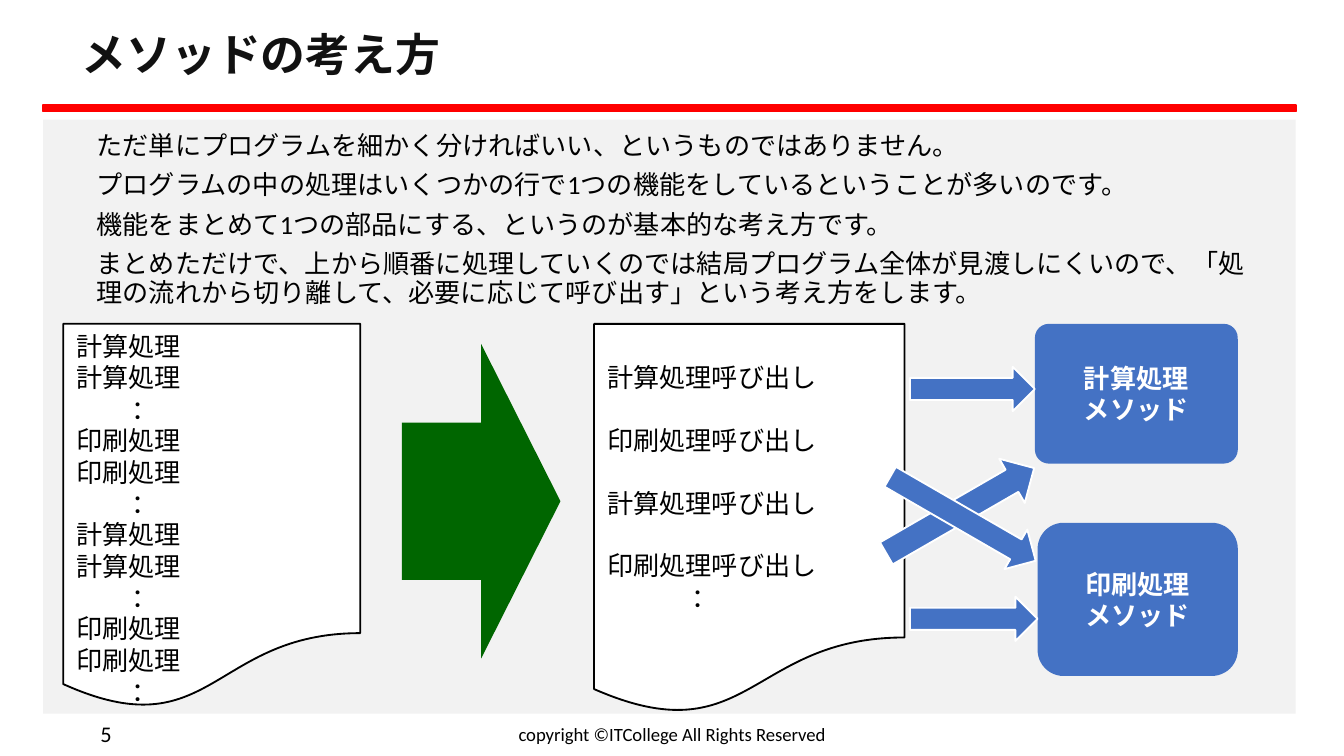
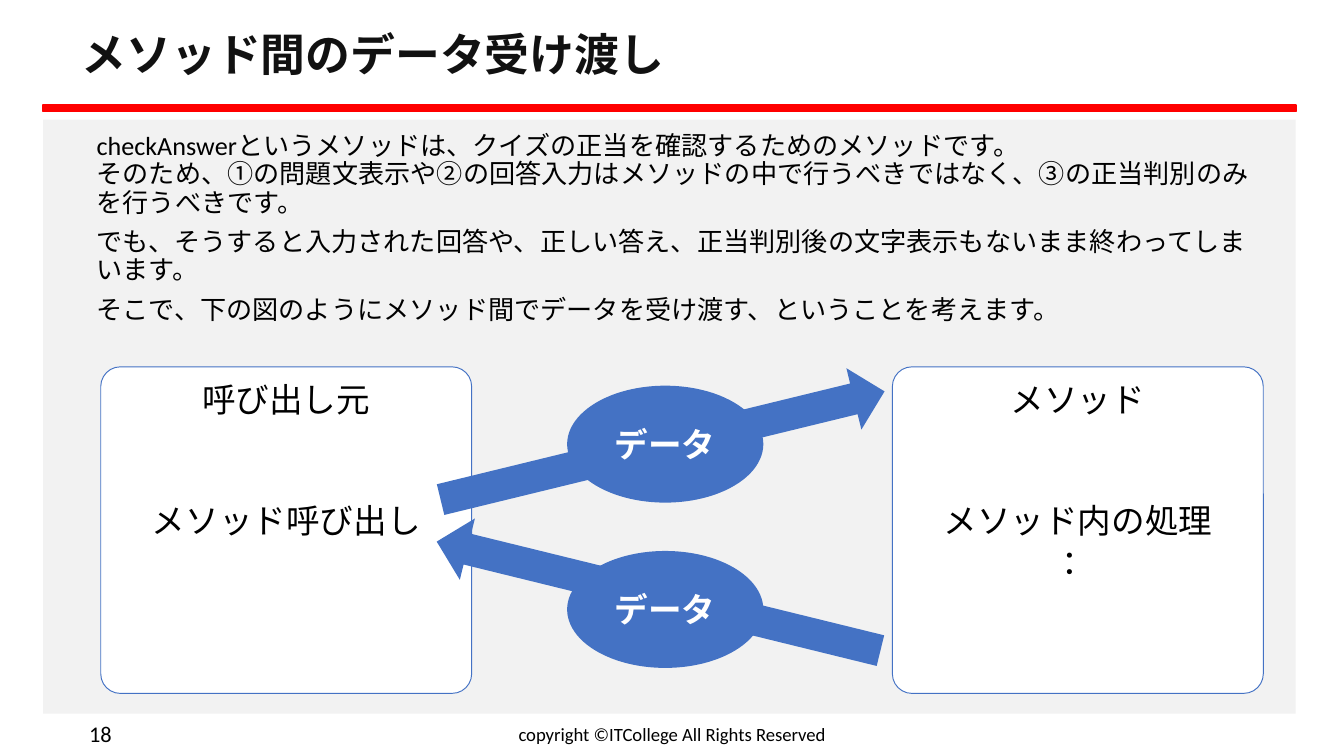
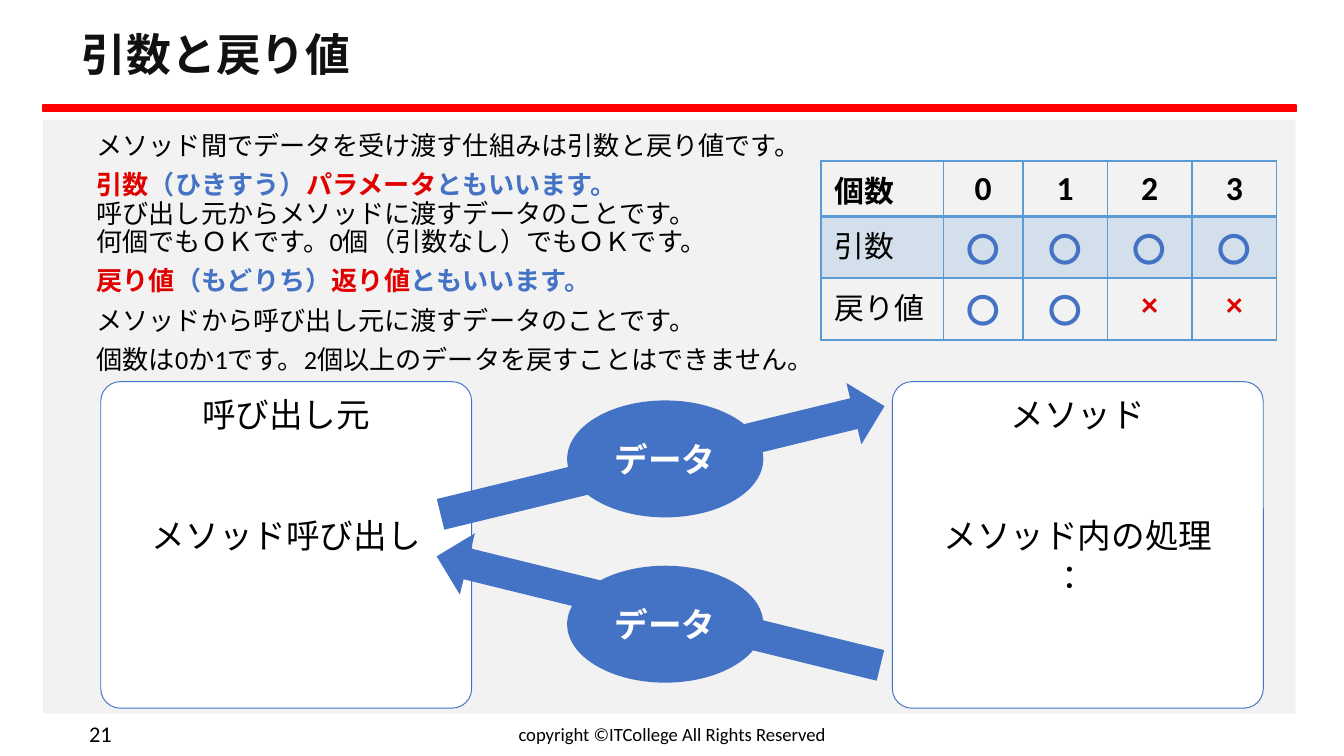
from dataclasses import dataclass

from lxml import etree
from pptx import Presentation
from pptx.dml.color import RGBColor
from pptx.enum.lang import MSO_LANGUAGE_ID
from pptx.enum.shapes import MSO_SHAPE
from pptx.enum.text import MSO_ANCHOR, PP_ALIGN
from pptx.oxml.ns import qn
from pptx.util import Inches, Pt

RECT, ROUND, OVAL = MSO_SHAPE.RECTANGLE, MSO_SHAPE.ROUNDED_RECTANGLE, MSO_SHAPE.OVAL
ARROW, DOCUMENT = MSO_SHAPE.RIGHT_ARROW, MSO_SHAPE.FLOWCHART_DOCUMENT
LEFT, CENTER, RIGHT = PP_ALIGN.LEFT, PP_ALIGN.CENTER, PP_ALIGN.RIGHT
TOP, MIDDLE = MSO_ANCHOR.TOP, MSO_ANCHOR.MIDDLE
JAPANESE = MSO_LANGUAGE_ID.JAPANESE


@dataclass(frozen=True)
class Theme:
    """Colours, fonts and type sizes shared by all slides."""
    black: str = "000000"
    white: str = "FFFFFF"
    title: str = "111111"
    panel: str = "F2F2F2"
    band: str = "FF0000"
    blue: str = "4472C4"
    grid: str = "5B9BD5"
    key: str = "E10000"
    green: str = "006600"
    font: str = "Calibri"
    cjk_font: str = "Noto Sans CJK JP"
    title_size: int = 24
    label_size: int = 18
    cell_size: int = 16
    body_size: int = 14
    number_size: int = 12
    footer_size: int = 10


T = Theme()
CALC, PRINT, DOTS = "計算処理", "印刷処理", "："


def rgb(value):
    """Turn a hex string into a colour."""
    return RGBColor.from_string(value)


def add_run(p, text, size, color=T.black, bold=False, font=T.font):
    """Append text to a paragraph, with a line break at each newline."""
    for i, line in enumerate(text.split("\n")):
        if i:
            p.add_line_break()
        if line:
            r = p.add_run()
            r.text = line
            r.font.name, r.font.size, r.font.bold = font, Pt(size), bold
            r.font.color.rgb = rgb(color)
            r.font.language_id = JAPANESE


def add_paragraph(tf, align=LEFT, before=0, indent=0):
    """Return the next paragraph of a frame; the first has no space before."""
    first = not tf.paragraphs[0].runs
    p = tf.paragraphs[0] if first else tf.add_paragraph()
    p.alignment = align
    if before and not first:
        p.space_before = Pt(before)
    if indent:
        pPr = p._p.get_or_add_pPr()
        pPr.set("marL", str(Inches(indent)))
        pPr.set("indent", "0")
    return p


def add_text(s, box, anchor=TOP):
    """Add a wrapping text box and return its frame."""
    tf = s.shapes.add_textbox(*map(Inches, box)).text_frame
    tf.word_wrap, tf.vertical_anchor = True, anchor
    return tf


def add_shape(s, kind, box, fill, line=None, width=1, turn=0, adj=None, anchor=MIDDLE):
    """Add a flat preset shape."""
    sp = s.shapes.add_shape(kind, *map(Inches, box))
    sp.shadow.inherit = False
    sp.fill.solid()
    sp.fill.fore_color.rgb = rgb(fill)
    if line:
        sp.line.color.rgb, sp.line.width = rgb(line), Pt(width)
    else:
        sp.line.fill.background()
    sp.rotation = turn
    if adj is not None:
        sp.adjustments[0] = adj
    sp.text_frame.vertical_anchor = anchor
    return sp


def add_frame(prs, title, number):
    """Start a slide with its panel, band, title and footer."""
    s = prs.slides.add_slide(prs.slide_layouts[6])
    add_shape(s, RECT, (0.32, 0.89, 9.32, 4.42), T.panel)
    add_shape(s, RECT, (0.32, 0.78, 9.32, 0.05), T.band, T.band)
    texts = (
        ((3.31, 5.32, 3.38, 0.28), CENTER, "copyright ©ITCollege All Rights Reserved", T.footer_size),
        ((0.24, 5.32, 0.69, 0.28), RIGHT, str(number), T.number_size),
    )
    for box, align, text, size in texts:
        add_run(add_paragraph(add_text(s, box, MIDDLE), align), text, size)
    p = add_paragraph(add_text(s, (0.51, 0.13, 8.99, 0.59), MIDDLE))
    p.line_spacing = 0.9
    add_run(p, title, T.title_size, T.title, True)
    return s


def add_body(s, width, height, paragraphs):
    """Write the explanation, each paragraph a list of (text, colour, bold)."""
    tf = add_text(s, (0.51, 0.94, width, height))
    for runs in paragraphs:
        p = add_paragraph(tf, before=6, indent=0.11)
        p.line_spacing = 0.9
        for text, color, bold in runs:
            add_run(p, text, T.body_size, color, bold)


def plain(*texts):
    """Make one plain body paragraph of each text."""
    return [[(text, T.black, False)] for text in texts]


def add_document(s, box, lines, dots_indent, gap=0, top=0.05):
    """Draw a program listing as a document shape."""
    tf = add_shape(s, DOCUMENT, box, T.white, T.black, anchor=TOP).text_frame
    tf.margin_top = Inches(top)
    for line in lines:
        dots = line == DOTS
        p = add_paragraph(tf, before=0 if dots else gap, indent=dots_indent if dots else 0)
        add_run(p, line, T.body_size, font=T.cjk_font)


def add_method_box(s, box, name, adj):
    """Draw one method as a rounded block."""
    tf = add_shape(s, ROUND, box, T.blue, adj=adj).text_frame
    for line in (name, "メソッド"):
        add_run(add_paragraph(tf, CENTER), line, T.body_size, T.white, True, T.cjk_font)


def add_split_diagram(s, left, top):
    """Show a long program split into calls and methods."""
    listing = [line for name in (CALC, PRINT) for line in (name, name, DOTS)] * 2
    calls = [name + "呼び出し" for name in (CALC, PRINT)] * 2 + [DOTS]
    add_document(s, (left, top, 2.21, 2.87), listing, 0.41)
    add_document(s, (left + 3.95, top, 2.31, 2.91), calls, 0.63, gap=16.8, top=0.28)
    add_method_box(s, (left + 7.23, top, 1.51, 1.04), CALC, 0.1)
    add_method_box(s, (left + 7.25, top + 1.48, 1.49, 1.14), PRINT, 0.17)
    arrows = (
        (6.3, 0.32, 0.93, 0.33, 0),
        (6.04, 1.2, 1.27, 0.38, 330),
        (6.3, 2.03, 0.95, 0.33, 0),
        (6.07, 1.28, 1.25, 0.34, 30),
    )
    for x, y, w, h, turn in arrows:
        add_shape(s, ARROW, (left + x, top + y, w, h), T.blue, T.white, turn=turn)
    add_shape(s, ARROW, (left + 2.52, top + 0.15, 1.18, 2.34), T.green)


def add_exchange_diagram(s, left, top):
    """Show data passing between a caller and a method."""
    sides = (
        (0, ("呼び出し元", "メソッド呼び出し")),
        (5.89, ("メソッド", "メソッド内の処理", DOTS)),
    )
    for x, lines in sides:
        box = (left + x, top, 2.76, 2.43)
        tf = add_shape(s, ROUND, box, T.white, T.blue, 0.5, adj=0.06, anchor=TOP).text_frame
        for i, line in enumerate(lines):
            p = add_paragraph(tf, CENTER, before=43.2 if i == 1 else 0)
            add_run(p, line, T.label_size)
    for x, y, turn in ((2.48, 0.35, 346.3), (2.45, 1.47, 193.8)):
        add_shape(s, ARROW, (left + x, top + y, 3.4, 0.47), T.blue, turn=turn)
    for y in (0.14, 1.37):
        tf = add_shape(s, OVAL, (left + 3.47, top + y, 1.46, 0.87), T.blue).text_frame
        add_run(add_paragraph(tf, CENTER), "データ", T.label_size, T.white, True)


def add_solid_fill(parent, alpha=None):
    """Append a solid fill in the grid colour."""
    fill = etree.SubElement(parent, qn("a:solidFill"))
    color = etree.SubElement(fill, qn("a:srgbClr"), val=T.grid)
    if alpha:
        etree.SubElement(color, qn("a:alpha"), val=str(alpha * 1000))


def style_cell(cell, bottom, tinted):
    """Set the borders and the fill of a table cell."""
    tcPr = cell._tc.get_or_add_tcPr()
    for side, width in (("L", 1), ("R", 1), ("T", 1), ("B", bottom)):
        add_solid_fill(etree.SubElement(tcPr, qn(f"a:ln{side}"), w=str(Pt(width))))
    if tinted:
        add_solid_fill(tcPr, 20)
    else:
        cell.fill.background()


def add_count_table(s, left, top):
    """Tabulate how many arguments and return values are allowed."""
    rows = (("個数", "0", "1", "2", "3"), ("引数", *"〇〇〇〇"), ("戻り値", *"〇〇××"))
    widths, heights = (0.91, 0.59, 0.63, 0.63, 0.63), (0.41, 0.46, 0.46)
    colors = {"〇": T.blue, "×": T.key}
    box = (left, top, sum(widths), sum(heights))
    table = s.shapes.add_table(len(rows), len(widths), *map(Inches, box)).table
    table.first_row = table.horz_banding = False
    for column, width in zip(table.columns, widths):
        column.width = Inches(width)
    for i, row in enumerate(rows):
        table.rows[i].height = Inches(heights[i])
        for j, text in enumerate(row):
            cell = table.cell(i, j)
            style_cell(cell, 1 if i else 2, i == 1)
            p = add_paragraph(cell.text_frame, CENTER if j else LEFT)
            size = T.label_size if j else T.cell_size
            add_run(p, text, size, colors.get(text, T.black), i == 0 or j > 0)


def term(name, reading, alias):
    """Make the runs that introduce a term and its other name."""
    return [(name, T.key, True), (reading, T.blue, True),
            (alias, T.key, True), ("ともいいます。", T.blue, True)]


def build_idea(prs):
    """Build the slide on the idea of methods."""
    s = add_frame(prs, "メソッドの考え方", 5)
    add_body(s, 8.99, 1.46, plain(
        "ただ単にプログラムを細かく分ければいい、というものではありません。",
        "プログラムの中の処理はいくつかの行で1つの機能をしているということが多いのです。",
        "機能をまとめて1つの部品にする、というのが基本的な考え方です。",
        "まとめただけで、上から順番に処理していくのでは結局プログラム全体が見渡しにくいので、"
        "「処理の流れから切り離して、必要に応じて呼び出す」という考え方をします。"))
    add_split_diagram(s, 0.47, 2.41)


def build_exchange(prs):
    """Build the slide on passing data between methods."""
    s = add_frame(prs, "メソッド間のデータ受け渡し", 18)
    add_body(s, 8.99, 1.57, plain(
        "checkAnswerというメソッドは、クイズの正当を確認するためのメソッドです。\n"
        "そのため、①の問題文表示や②の回答入力はメソッドの中で行うべきではなく、"
        "③の正当判別のみを行うべきです。",
        "でも、そうすると入力された回答や、正しい答え、正当判別後の文字表示もないまま終わってしまいます。",
        "そこで、下の図のようにメソッド間でデータを受け渡す、ということを考えます。"))
    add_exchange_diagram(s, 0.75, 2.73)


def build_arguments(prs):
    """Build the slide on arguments and return values."""
    s = add_frame(prs, "引数と戻り値", 21)
    argument = term("引数", "（ひきすう）", "パラメータ")
    argument.append(("\n呼び出し元からメソッドに渡すデータのことです。\n"
                     "何個でもＯＫです。0個（引数なし）でもＯＫです。", T.black, False))
    add_body(s, 5.76, 1.94, [
        *plain("メソッド間でデータを受け渡す仕組みは引数と戻り値です。"),
        argument,
        term("戻り値", "（もどりち）", "返り値"),
        *plain("メソッドから呼び出し元に渡すデータのことです。",
               "個数は0か1です。2個以上のデータを戻すことはできません。")])
    add_count_table(s, 6.11, 1.2)
    add_exchange_diagram(s, 0.75, 2.84)


def main():
    """Build and save the slides."""
    prs = Presentation()
    prs.slide_width = Inches(10)
    prs.slide_height = prs.slide_width * 9 // 16
    for build in (build_idea, build_exchange, build_arguments):
        build(prs)
    prs.save("out.pptx")


if __name__ == "__main__":
    main()
